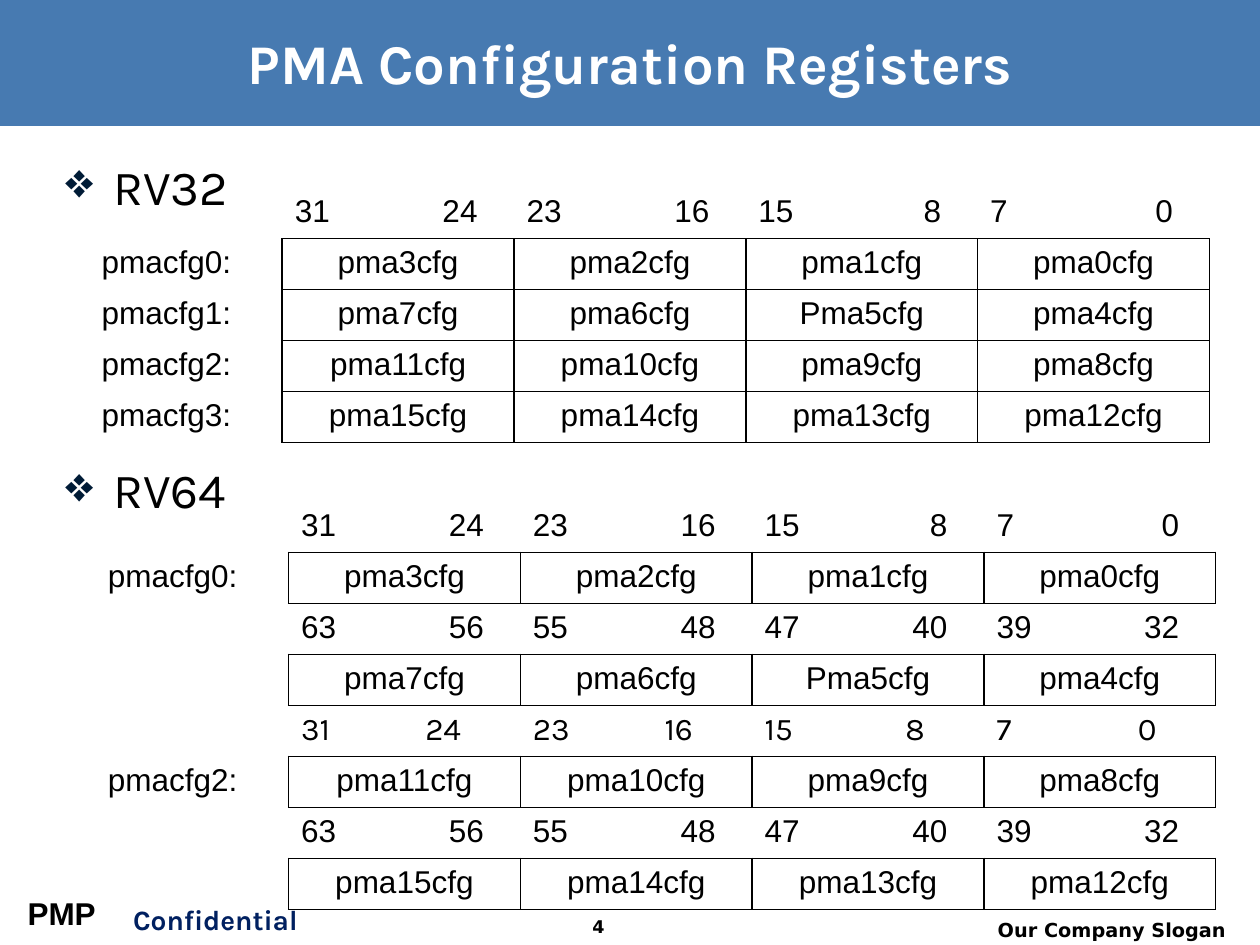
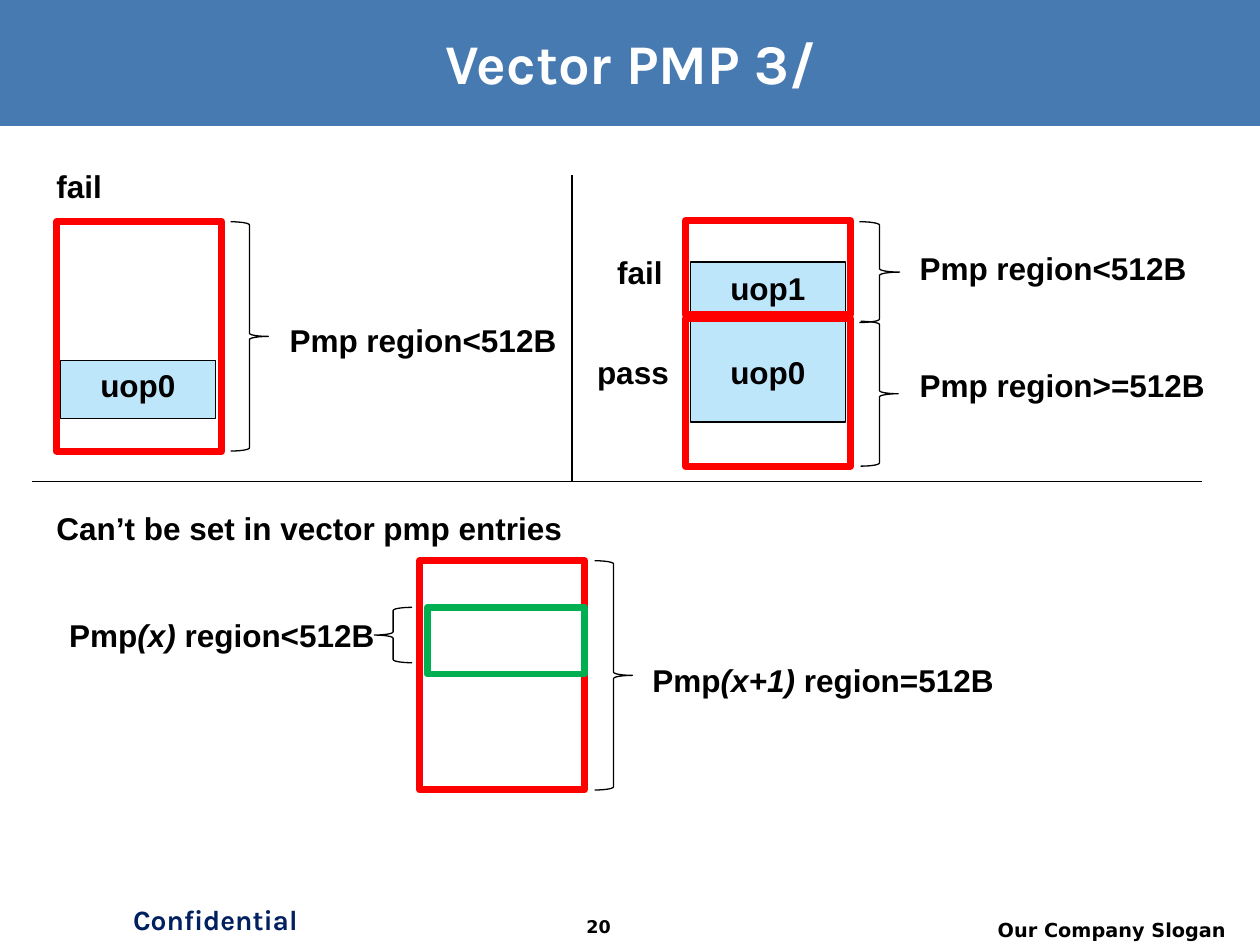
"""Build two slides on PMA registers and vector PMP regions."""
from lxml import etree
from pptx import Presentation
from pptx import util as u
from pptx.dml.color import RGBColor
from pptx.enum import shapes, text
from pptx.oxml.ns import qn

HUES = {"band": "477AB1", "navy": "002060", "mark": "001B36", "ink": "000000",
        "paper": "FFFFFF", "red": "FF0000", "green": "00B050", "uop": "BEE6FB"}
SANS, HEAD, FOOT = "Arial", "Karla", "DejaVu Sans"

LOW = [("31", "24"), ("23", "16"), ("15", "8"), ("7", "0")]
HIGH = [("63", "56"), ("55", "48"), ("47", "40"), ("39", "32")]
REGS = [
    ["pma3cfg", "pma2cfg", "pma1cfg", "pma0cfg"],
    ["pma7cfg", "pma6cfg", "Pma5cfg", "pma4cfg"],
    ["pma11cfg", "pma10cfg", "pma9cfg", "pma8cfg"],
    ["pma15cfg", "pma14cfg", "pma13cfg", "pma12cfg"],
]
RV32 = [("", LOW, SANS)] + [(f"pmacfg{n}:", regs, SANS) for n, regs in enumerate(REGS)]
RV64 = [
    ("", LOW, SANS), ("pmacfg0:", REGS[0], SANS),
    ("", HIGH, SANS), ("", REGS[1], SANS),
    ("", LOW, HEAD), ("pmacfg2:", REGS[2], SANS),
    ("", HIGH, SANS), ("", REGS[3], SANS),
]
GRIDS = [(0.4, 1.49, RV32), (0.45, 3.98, RV64)]
COL, ROW = 1.84, 0.405
TABS = {SANS: 1.45, HEAD: 1.27}

UOPS = [
    ((0.48, 2.86, 1.23, 0.46), "uop0", "t"),
    ((5.48, 2.55, 1.23, 0.8), "uop0", "m"),
    ((5.48, 2.08, 1.23, 0.41), "uop1", "m"),
]
FRAMES = [
    ((0.45, 1.76, 1.31, 1.82), "red"),
    ((5.44, 1.75, 1.31, 0.75), "red"),
    ((5.44, 2.53, 1.31, 1.17), "red"),
    ((3.33, 4.45, 1.31, 1.82), "red"),
    ((3.39, 4.82, 1.25, 0.53), "green"),
]
BRACES = [
    ((1.83, 1.76, 0.3, 1.82), 0),
    ((4.72, 4.45, 0.3, 1.82), 0),
    ((2.97, 4.82, 0.3, 0.44), 180),
    ((6.83, 2.55, 0.3, 1.15), 0),
    ((6.82, 1.76, 0.32, 0.8), 0),
]
LABELS = [
    ((2.2, 2.5, 2.34, 0.4), ["Pmp region<512B"]),
    ((0.35, 1.28, 0.57, 0.4), ["fail"]),
    ((5.08, 5.2, 2.94, 0.4), ["Pmp", "(x+1)", " region=512B"]),
    ((0.35, 3.99, 4.26, 0.4), ["Can’t be set in vector pmp entries"]),
    ((0.45, 4.84, 2.65, 0.4), ["Pmp", "(x)", " region<512B"]),
    ((7.2, 2.86, 2.49, 0.4), ["Pmp region>=512B"]),
    ((7.2, 1.93, 2.34, 0.4), ["Pmp region<512B"]),
    ((4.64, 2.75, 0.78, 0.4), ["pass"]),
    ((4.8, 1.96, 0.57, 0.4), ["fail"]),
]
RULES = [(0.25, 3.82, 9.54, 3.82), (4.54, 1.39, 4.54, 3.82)]

ALIGN = {"l": text.PP_ALIGN.LEFT, "c": text.PP_ALIGN.CENTER, "r": text.PP_ALIGN.RIGHT}
ANCHOR = {"t": text.MSO_ANCHOR.TOP, "m": text.MSO_ANCHOR.MIDDLE}


def rgb(hue):
    return RGBColor.from_string(HUES[hue])


def place(box):
    return [u.Inches(n) for n in box]


def sub(node, tag, **attrs):
    return etree.SubElement(node, qn(tag), attrs)


def style(para, size=18, face=SANS, hue="ink", bold=True, align="l"):
    para.alignment = ALIGN[align]
    font = para.font
    font.size, font.name, font.bold = u.Pt(size), face, bold
    font.color.rgb = rgb(hue)


def write(shape, parts, anchor="t", wrap=False, **look):
    frame = shape.text_frame
    frame.word_wrap = wrap
    frame.vertical_anchor = ANCHOR[anchor]
    para = frame.paragraphs[0]
    for n, part in enumerate(parts):
        run = para.add_run()
        run.text = part
        if n % 2:
            run.font.italic = True
    style(para, **look)
    return para


def note(slide, box, parts, **look):
    return write(slide.shapes.add_textbox(*place(box)), parts, **look)


def draw(slide, box, fill=None, line=None, width=0.75, kind="RECTANGLE"):
    shape = slide.shapes.add_shape(getattr(shapes.MSO_SHAPE, kind), *place(box))
    shape.shadow.inherit = False
    if fill:
        shape.fill.solid()
        shape.fill.fore_color.rgb = rgb(fill)
    else:
        shape.fill.background()
    if line:
        shape.line.color.rgb = rgb(line)
        shape.line.width = u.Pt(width)
    else:
        shape.line.fill.background()
    return shape


def start(deck, title, page):
    slide = deck.slides.add_slide(deck.slide_layouts[6])
    draw(slide, (0, 0, 10, 1), fill="band")
    note(slide, (0.89, 7.11, 1.64, 0.42), ["Confidential"],
         size=16, face=HEAD, hue="navy", align="c")
    note(slide, (7.46, 7.24, 2.37, 0.26), ["Our Company Slogan"],
         size=11, face=FOOT, align="r")
    note(slide, (4.29, 7.22, 0.92, 0.28), [page], size=10, face=FOOT, align="c")
    para = note(slide, (0.35, 0.16, 9.31, 0.66), [title], anchor="m", wrap=True,
                size=32, face=HEAD, hue="paper", align="c")
    cast = sub(sub(para.runs[0].font._element, "a:effectLst"), "a:outerShdw",
               dist="38100", dir="2700000")
    sub(cast, "a:srgbClr", val=HUES["ink"])
    return slide


def bullet(para, word):
    para.text = word
    props = para._p.get_or_add_pPr()
    props.set("marL", str(u.Inches(0.38)))
    props.set("indent", str(u.Inches(-0.38)))
    sub(sub(props, "a:buClr"), "a:srgbClr", val=HUES["mark"])
    sub(props, "a:buChar", char="❖")
    style(para, size=28, face=HEAD, bold=False)


def edge(cell, sides):
    props = cell._tc.get_or_add_tcPr()
    for side, shown in sides.items():
        line = sub(props, f"a:{side}", w=str(u.Pt(1)))
        if shown:
            sub(sub(line, "a:solidFill"), "a:srgbClr", val=HUES["ink"])
        else:
            sub(line, "a:noFill")


def grid(slide, left, top, rows):
    box = (left, top, 5 * COL, len(rows) * ROW)
    table = slide.shapes.add_table(len(rows), 5, *place(box)).table
    table.first_row = table.horz_banding = False
    table._tbl.tblPr[0].text = "{2D5ABB26-0587-4C30-8999-92F81FD0307C}"

    def boxed(r, c):
        return 0 <= r < len(rows) and 0 < c < 5 and isinstance(rows[r][1][c - 1], str)

    for col in table.columns:
        col.width = u.Inches(COL)
    for r, (label, items, face) in enumerate(rows):
        table.rows[r].height = u.Inches(ROW)
        for c, item in enumerate([label, *items]):
            cell = table.cell(r, c)
            para = cell.text_frame.paragraphs[0]
            bits = isinstance(item, tuple)
            para.text = "\t".join(item) if bits else item
            if bits:
                tabs = sub(para._p.get_or_add_pPr(), "a:tabLst")
                sub(tabs, "a:tab", pos=str(u.Inches(TABS[face])), algn="r")
            style(para, face=face, bold=False, align="l" if bits else "c")
            near = {"lnL": (r, c - 1), "lnR": (r, c + 1),
                    "lnT": (r - 1, c), "lnB": (r + 1, c)}
            edge(cell, {side: boxed(r, c) or boxed(*spot) for side, spot in near.items()})
            cell.fill.background()


def registers(deck):
    slide = start(deck, "PMA Configuration Registers", "4")
    body = slide.shapes.add_textbox(*place((0.42, 1.19, 9.21, 5.8))).text_frame
    body.word_wrap = True
    bullet(body.paragraphs[0], "RV32")
    last = body.add_paragraph()
    bullet(last, "RV64")
    last.space_before = u.Pt(140)
    for left, top, rows in GRIDS:
        grid(slide, left, top, rows)
    write(draw(slide, (0.12, 7.05, 0.75, 0.4), fill="paper"), ["PMP"])


def regions(deck):
    slide = start(deck, "Vector PMP 3/", "20")
    for box, name, anchor in UOPS:
        write(draw(slide, box, "uop", "ink"), [name], anchor, True, align="c")
    for box, hue in FRAMES:
        draw(slide, box, line=hue, width=4)
    for box, turn in BRACES:
        draw(slide, box, line="ink", kind="RIGHT_BRACE").rotation = turn
    for box, parts in LABELS:
        note(slide, box, parts)
    for ends in RULES:
        rule = slide.shapes.add_connector(shapes.MSO_CONNECTOR.STRAIGHT, *place(ends))
        rule.line.color.rgb = rgb("ink")
        rule.line.width = u.Pt(0.75)
        sub(rule._element.spPr, "a:effectLst")


def main():
    deck = Presentation()
    deck.slide_width, deck.slide_height = place((10, 7.5))
    registers(deck)
    regions(deck)
    deck.save("out.pptx")


if __name__ == "__main__":
    main()
